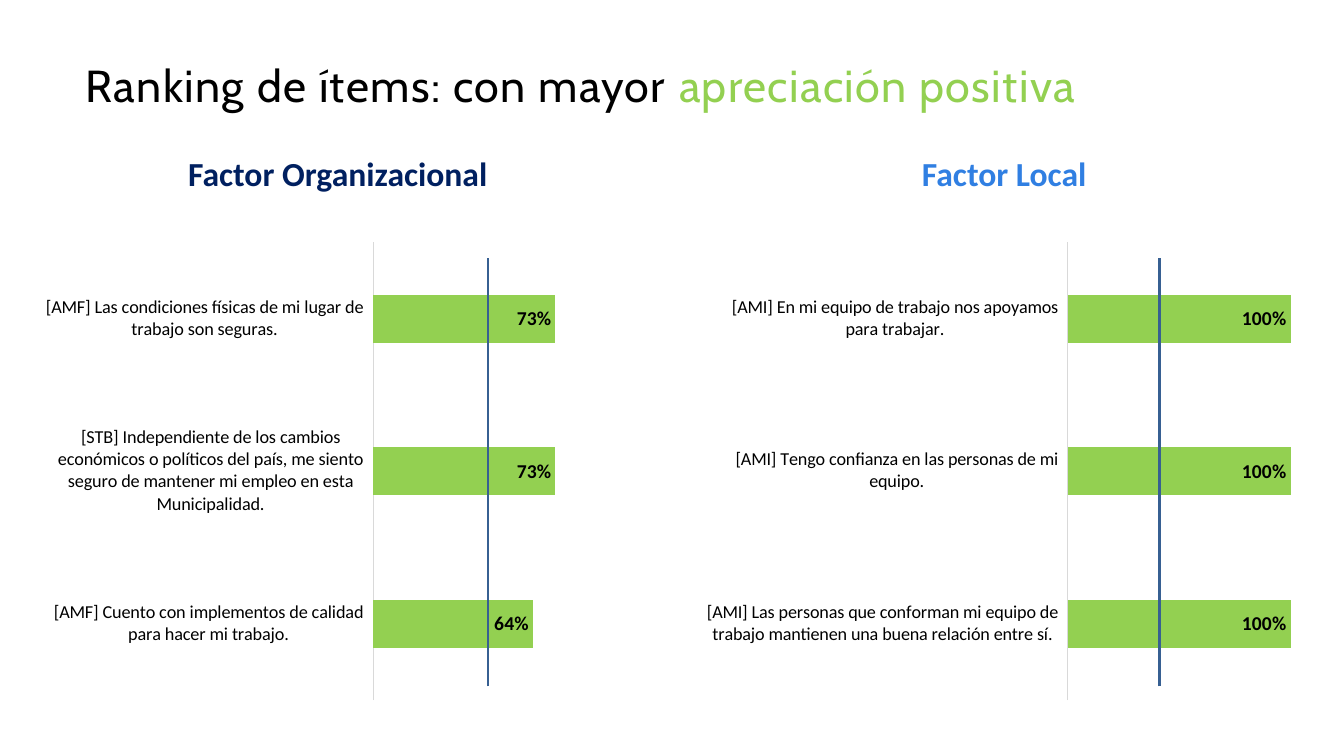
from pptx import Presentation
from pptx.chart.data import CategoryChartData
from pptx.dml.color import RGBColor
from pptx.enum.chart import XL_CHART_TYPE as ChartType, XL_LABEL_POSITION as LabelPosition
from pptx.enum.chart import XL_TICK_LABEL_POSITION as TickLabels, XL_TICK_MARK as TickMark
from pptx.enum.shapes import MSO_CONNECTOR as Connector
from pptx.enum.text import MSO_ANCHOR as Anchor, PP_ALIGN as Align
from pptx.oxml import parse_xml
from pptx.oxml.ns import nsdecls, qn
from pptx.util import Inches, Pt

COLORS = {"black": "000000", "green": "93D051", "navy": "002060",
          "blue": "307FE2", "axis": "D9D9D9", "marker": "376092"}
CHART_TOP, CHART_WIDTH, CHART_HEIGHT = 2.31, 5.91, 4.75

FACTORS = [
    {"name": "Factor Organizacional", "color": "navy", "heading_left": 0.83,
     "chart_left": 0.4, "plot_left": 3.7, "plot_width": 2.48, "marker": 4.84,
     "items": [
         ("[AMF] Cuento con implementos de calidad para hacer mi trabajo.", 0.64),
         ("[STB] Independiente de los cambios económicos o políticos del país, "
          "me siento seguro de mantener mi empleo en esta Municipalidad.", 0.73),
         ("[AMF] Las condiciones físicas de mi lugar de trabajo son seguras.", 0.73)]},
    {"name": "Factor Local", "color": "blue", "heading_left": 7.44,
     "chart_left": 7.01, "plot_left": 10.58, "plot_width": 2.22, "marker": 11.5,
     "items": [
         ("[AMI] Las personas que conforman mi equipo de trabajo mantienen "
          "una buena relación entre sí.", 1),
         ("[AMI] Tengo confianza en las personas de mi equipo.", 1),
         ("[AMI] En mi equipo de trabajo nos apoyamos para trabajar.", 1)]},
]


def rgb(name):
    return RGBColor.from_string(COLORS[name])


def style_font(font, size, color, name="Calibri", bold=False):
    font.size, font.name, font.bold = Pt(size), name, bold
    font.color.rgb = rgb(color)


def add_text(page, spans, box, size, font="Calibri", bold=False, align=Align.LEFT,
             inset=None, spacing=None):
    """Add one paragraph made of (text, color) spans."""
    frame = page.shapes.add_textbox(*map(Inches, box)).text_frame
    frame.word_wrap = True
    frame.vertical_anchor = Anchor.MIDDLE
    if inset is not None:
        frame.margin_left = frame.margin_right = Inches(inset)
        frame.margin_top = frame.margin_bottom = Inches(inset)
    para = frame.paragraphs[0]
    para.alignment, para.line_spacing = align, 0.9
    for text, color in spans:
        span = para.add_run()
        span.text = text
        style_font(span.font, size, color, font, bold)
        if spacing:
            span.font._element.set("spc", str(spacing * 100))


def set_plot_layout(chart, x, y, width, height):
    """Fix the inner plot area, in fractions of the chart."""
    plot_area = chart._chartSpace.find(".//" + qn("c:plotArea"))
    for layout in plot_area.findall(qn("c:layout")):
        plot_area.remove(layout)
    sizes = "".join(f'<c:{tag} val="{value:.4f}"/>' for tag, value in
                    zip("xywh", (x, y, width, height)))
    plot_area.insert(0, parse_xml(
        f'<c:layout {nsdecls("c")}><c:manualLayout><c:layoutTarget val="inner"/>'
        f'<c:xMode val="edge"/><c:yMode val="edge"/>{sizes}'
        '</c:manualLayout></c:layout>'))


def add_ranking_chart(page, factor):
    data = CategoryChartData(number_format="0%")
    data.categories = [item for item, _ in factor["items"]]
    data.add_series("Series 1", [value for _, value in factor["items"]])
    left = factor["chart_left"]
    box = map(Inches, (left, CHART_TOP, CHART_WIDTH, CHART_HEIGHT))
    chart = page.shapes.add_chart(ChartType.BAR_CLUSTERED, *box, data).chart
    chart.has_legend = chart.has_title = False
    style_font(chart.font, 10, "black")
    set_plot_layout(chart, (factor["plot_left"] - left) / CHART_WIDTH, 0.02,
                    factor["plot_width"] / CHART_WIDTH, 0.956)

    items_axis, values_axis = chart.category_axis, chart.value_axis
    items_axis.major_tick_mark = items_axis.minor_tick_mark = TickMark.NONE
    items_axis.tick_label_position = TickLabels.LOW
    style_font(items_axis.tick_labels.font, 13, "black")
    items_axis.format.line.color.rgb = rgb("axis")
    items_axis.format.line.width = Pt(0.75)
    values_axis.minimum_scale, values_axis.maximum_scale = 0, 1
    values_axis.has_major_gridlines = values_axis.visible = False

    plot = chart.plots[0]
    plot.gap_width, plot.vary_by_categories = 219, False
    fill = plot.series[0].format.fill
    fill.solid()
    fill.fore_color.rgb = rgb("green")
    plot.has_data_labels = True
    labels = plot.data_labels
    labels.show_value, labels.position = True, LabelPosition.INSIDE_END
    labels.number_format, labels.number_format_is_linked = "0%", False
    style_font(labels.font, 14, "black", bold=True)


def add_marker(page, x):
    """Draw the vertical reference line across the bars."""
    ends = map(Inches, (x, 6.81, x, 2.56))
    line = page.shapes.add_connector(Connector.STRAIGHT, *ends)
    line.line.color.rgb = rgb("marker")
    line.line.width = Pt(2)
    line._element.spPr.append(parse_xml(f'<a:effectLst {nsdecls("a")}/>'))


def add_factor(page, factor):
    add_text(page, [(factor["name"], factor["color"])],
             (factor["heading_left"], 1.58, 5.04, 0.33), 24, bold=True, align=Align.CENTER)
    add_ranking_chart(page, factor)
    add_marker(page, factor["marker"])


def main():
    deck = Presentation()
    deck.slide_width, deck.slide_height = Inches(13.33), Inches(7.5)
    page = deck.slides.add_slide(deck.slide_layouts[6])
    add_text(page, [("Ranking de ítems: con mayor ", "black"), ("apreciación positiva", "green")],
             (0.85, 0.34, 11.78, 1.06), 32, font="Cabin", inset=0, spacing=1)
    for factor in FACTORS:
        add_factor(page, factor)
    deck.save("out.pptx")


if __name__ == "__main__":
    main()
